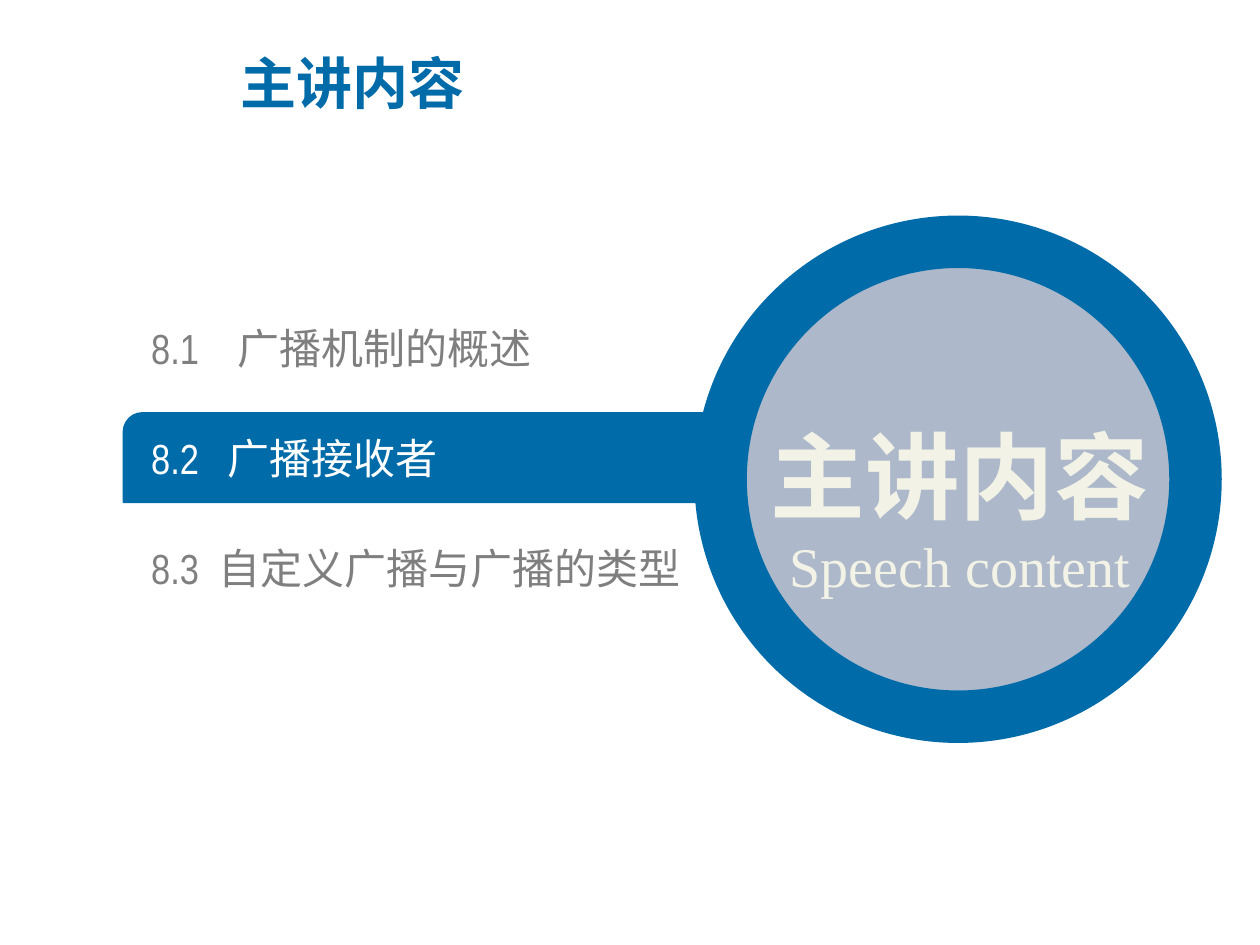
from dataclasses import dataclass

from lxml import etree
from pptx import Presentation
from pptx.dml.color import RGBColor
from pptx.enum import shapes, text
from pptx.oxml import ns
from pptx.util import Pt


@dataclass(frozen=True)
class Theme:
    blue: str = "006BA9"
    mist: str = "ADB9CA"
    cream: str = "F2F2E6"
    grey: str = "7F7F7F"
    white: str = "FFFFFF"
    cjk: str = "Noto Sans CJK SC"
    narrow: str = "Arial Narrow"
    serif: str = "Times New Roman"
    head: int = 32
    item: int = 24
    hero: int = 54


class Deck:
    """Draw the agenda slide in one theme, with lengths in points."""

    def __init__(self, theme):
        self.theme = theme
        self.prs = Presentation()
        self.prs.slide_width, self.prs.slide_height = Pt(720), Pt(540)
        self.slide = self.prs.slides.add_slide(self.prs.slide_layouts[1])

    def place(self, shape, box):
        shape.left, shape.top, shape.width, shape.height = map(Pt, box)
        shape.element.getparent().append(shape.element)
        frame = shape.text_frame
        frame.word_wrap = True
        frame.auto_size = text.MSO_AUTO_SIZE.NONE
        frame.vertical_anchor = text.MSO_ANCHOR.MIDDLE
        return frame

    def style(self, para, face, size, color, bold=False):
        for run in para.runs:
            font = run.font
            font.name, font.size, font.bold = face, Pt(size), bold
            font.color.rgb = RGBColor.from_string(color)
            east = etree.SubElement(font._element, ns.qn("a:ea"))
            east.set("typeface", self.theme.cjk)

    def shape(self, kind, box, fill, width):
        item = self.slide.shapes.add_shape(kind, *map(Pt, box))
        item.shadow.inherit = False
        item.fill.solid()
        item.fill.fore_color.rgb = RGBColor.from_string(fill)
        item.line.color.rgb = RGBColor.from_string(self.theme.blue)
        item.line.width = Pt(width)
        return item

    def title(self, words, box):
        frame = self.place(self.slide.shapes.title, box)
        frame.text = words
        para = frame.paragraphs[0]
        para.alignment = text.PP_ALIGN.LEFT
        self.style(para, self.theme.cjk, self.theme.head, self.theme.blue, True)

    def agenda(self, rows, active, box, gap, step):
        frame = self.place(self.slide.placeholders[1], box)
        frame.margin_left = frame.margin_right = 0
        frame.margin_top = frame.margin_bottom = 0
        frame.text = "\n" * (len(rows) - 1)
        for i, (para, (code, name)) in enumerate(zip(frame.paragraphs, rows)):
            para.space_before = Pt(gap if i else 0)
            props = para._p.get_or_add_pPr()
            props.set("marL", "0")
            props.set("indent", "0")
            etree.SubElement(props, ns.qn("a:buNone"))
            for part in (code, " ", name):
                para.add_run().text = part
            color = self.theme.white if i == active else self.theme.grey
            self.style(para, self.theme.narrow, self.theme.item, color)
            wide = round(100 * step * (len(rows) - i))
            para.runs[1].font._element.set("spc", str(wide))

    def hero(self, main, sub, box):
        frame = self.place(self.slide.shapes.add_textbox(*map(Pt, box)), box)
        frame.text = f"{main}\n{sub}"
        top, low = frame.paragraphs
        top.alignment = low.alignment = text.PP_ALIGN.CENTER
        top.line_spacing = 1.5
        self.style(top, self.theme.cjk, self.theme.hero, self.theme.cream, True)
        self.style(low, self.theme.serif, self.theme.head, self.theme.cream)


def main():
    theme = Theme()
    deck = Deck(theme)
    kind = shapes.MSO_SHAPE
    bar = deck.shape(kind.ROUND_2_DIAG_RECTANGLE, (70.6, 236, 391, 51), theme.blue, 1)
    bar.adjustments[0], bar.adjustments[1] = 0.21, 0
    rows = [
        ("8.1", "广播机制的概述"),
        ("8.2", "广播接收者"),
        ("8.3", "自定义广播与广播的类型"),
    ]
    deck.agenda(rows, 1, (86.4, 184.7, 313.2, 153.4), gap=34, step=5.47)
    deck.shape(kind.OVAL, (411.8, 138.2, 271.4, 271.4), theme.mist, 30)
    deck.hero("主讲内容", "Speech content", (408.2, 202.3, 280.8, 144))
    deck.title("主讲内容", (130.3, 16.8, 405.4, 60.5))
    deck.prs.save("out.pptx")


if __name__ == "__main__":
    main()
